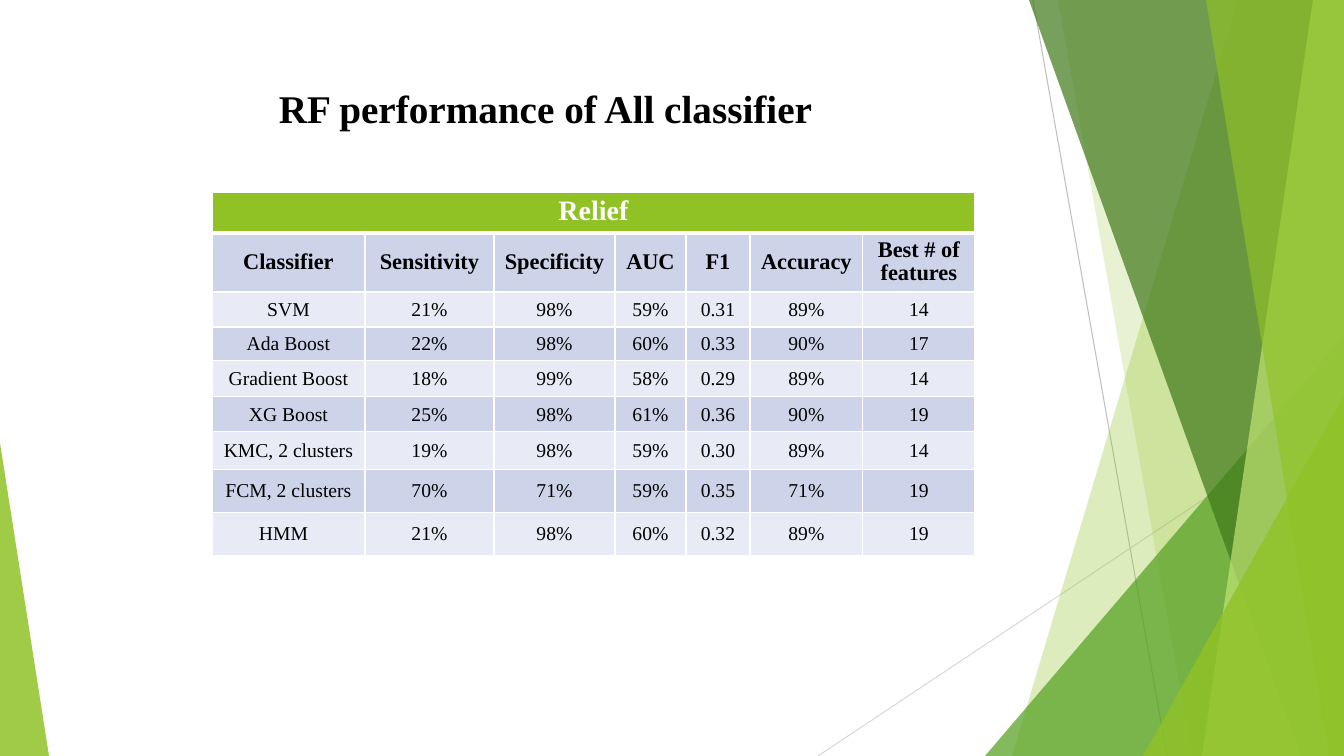
from lxml.etree import SubElement
from pptx import Presentation
from pptx.dml.color import RGBColor
from pptx.enum.shapes import MSO_CONNECTOR, MSO_SHAPE
from pptx.enum.text import MSO_ANCHOR, MSO_AUTO_SIZE, PP_ALIGN
from pptx.oxml import parse_xml
from pptx.oxml.ns import nsdecls, qn
from pptx.util import Emu, Pt

WIDTH, HEIGHT = 1344, 756
EMU_PER_PX = 914400 / 100.8
GREEN, WHITE, BLACK = "90C226", "FFFFFF", "000000"
BANDS = ("E8EBF5", "CDD4EA")

RAYS = [
    (1238, 1012, GREEN, 30),
    (1058, 1192, GREEN, 20),
    (1029, 1301, "3F7819", 70),
    (1313, 1202, "C0E474", 70),
    (1206, 1329, GREEN, 65),
]
COLUMN_WIDTHS = [153, 129, 121, 71, 64, 113, 112]
ROW_HEIGHTS = [41, 59, 35, 34, 36, 35, 38, 43, 43]
HEADINGS = ["Classifier", "Sensitivity", "Specificity", "AUC", "F1", "Accuracy", "Best # of features"]
SCORES = [
    ["SVM", "21%", "98%", "59%", "0.31", "89%", "14"],
    ["Ada Boost", "22%", "98%", "60%", "0.33", "90%", "17"],
    ["Gradient Boost", "18%", "99%", "58%", "0.29", "89%", "14"],
    ["XG Boost", "25%", "98%", "61%", "0.36", "90%", "19"],
    ["KMC, 2 clusters", "19%", "98%", "59%", "0.30", "89%", "14"],
    ["FCM, 2 clusters", "70%", "71%", "59%", "0.35", "71%", "19"],
    ["HMM", "21%", "98%", "60%", "0.32", "89%", "19"],
]


def px(length):
    return Emu(round(length * EMU_PER_PX))


def rgb(value):
    return RGBColor.from_string(value)


class FacetSlide:
    """Draws the elements of one slide in the green facet style."""

    font_name = "Times New Roman"

    def __init__(self, slide):
        self.slide = slide
        self.shapes = slide.shapes

    def label(self, frame, text, size, color=BLACK, bold=False):
        frame.text = text
        paragraph = frame.paragraphs[0]
        paragraph.alignment = PP_ALIGN.CENTER
        font = paragraph.font
        font.name, font.size, font.bold = self.font_name, Pt(size), bold
        font.color.rgb = rgb(color)
        return paragraph

    def title(self, text, left, top, width, height):
        heading = self.shapes.title
        heading.left, heading.top = px(left), px(top)
        heading.width, heading.height = px(width), px(height)
        frame = heading.text_frame
        frame.word_wrap = True
        frame.auto_size = MSO_AUTO_SIZE.NONE
        frame.vertical_anchor = MSO_ANCHOR.TOP
        self.label(frame, text, 28, bold=True)

    def line(self, start, end, color):
        ray = self.shapes.add_connector(MSO_CONNECTOR.STRAIGHT, *map(px, start + end))
        ray.line.color.rgb = rgb(color)
        ray.line.width = Pt(0.75)
        SubElement(ray._element.spPr, qn("a:effectLst"))

    def paint(self, shape, color, opacity):
        shape.shadow.inherit = False
        shape.line.fill.background()
        shape.fill.solid()
        shape.fill.fore_color.rgb = rgb(color)
        tint = shape._element.spPr.find(qn("a:solidFill"))[0]
        SubElement(tint, qn("a:alpha"), val=str(opacity * 1000))

    def ray(self, top_x, bottom_x, color, opacity):
        outline = self.shapes.build_freeform(top_x, 0, scale=EMU_PER_PX)
        outline.add_line_segments([(WIDTH, 0), (WIDTH, HEIGHT), (bottom_x, HEIGHT)])
        self.paint(outline.convert_to_shape(), color, opacity)

    def corner(self, left, top, width, apex, color, opacity):
        triangle = self.shapes.add_shape(
            MSO_SHAPE.ISOSCELES_TRIANGLE, px(left), px(top), px(width), px(HEIGHT - top))
        triangle.adjustments[0] = apex
        self.paint(triangle, color, opacity)

    def cell(self, cell, text, size, fill, color=BLACK, bold=False, margins=(10, 5), bottom_line=1):
        cell.vertical_anchor = MSO_ANCHOR.MIDDLE
        cell.margin_left = cell.margin_right = px(margins[0])
        cell.margin_top = cell.margin_bottom = px(margins[1])
        cell.fill.solid()
        cell.fill.fore_color.rgb = rgb(fill)
        properties = cell._tc.get_or_add_tcPr()
        for index, side in enumerate("LRTB"):
            weight = Pt(bottom_line if side == "B" else 1)
            properties.insert(index, parse_xml(
                f'<a:ln{side} {nsdecls("a")} w="{weight}"><a:solidFill>'
                f'<a:srgbClr val="{WHITE}"/></a:solidFill></a:ln{side}>'))
        return self.label(cell.text_frame, text, size, color, bold)

    def table(self, left, top, banner, headings, scores):
        frame = self.shapes.add_table(
            len(ROW_HEIGHTS), len(COLUMN_WIDTHS), px(left), px(top),
            px(sum(COLUMN_WIDTHS)), px(sum(ROW_HEIGHTS)))
        table = frame.table
        table.first_row = table.horz_banding = False
        for column, width in zip(table.columns, COLUMN_WIDTHS):
            column.width = px(width)
        for row, height in zip(table.rows, ROW_HEIGHTS):
            row.height = px(height)

        table.cell(0, 0).merge(table.cell(0, len(headings) - 1))
        for column, heading in enumerate(headings):
            text = banner if column == 0 else ""
            top_label = self.cell(table.cell(0, column), text, 20, GREEN, WHITE, True, bottom_line=3)
            heading_label = self.cell(table.cell(1, column), heading, 16, BANDS[1], bold=True)
            top_label.line_spacing = heading_label.line_spacing = 0.9
        for row, values in enumerate(scores):
            for column, value in enumerate(values):
                margins = (10, 5) if column == 0 else (1, 1)
                self.cell(table.cell(row + 2, column), value, 14, BANDS[row % 2], margins=margins)
        table.cell(len(ROW_HEIGHTS) - 1, 0).margin_right = px(20)


def main():
    deck = Presentation()
    deck.slide_width, deck.slide_height = px(WIDTH), px(HEIGHT)
    page = FacetSlide(deck.slides.add_slide(deck.slide_layouts[5]))

    page.line((1033, 0), (1167, HEIGHT), "BFBFBF")
    page.line((WIDTH, 406), (818, HEIGHT), "D9D9D9")
    for ray in RAYS[:2]:
        page.ray(*ray)
    page.corner(985, 336, 359, 1, "54A021", 72)
    for ray in RAYS[2:]:
        page.ray(*ray)
    page.corner(1143, 396, 201, 1, GREEN, 80)
    page.corner(0, 443, 49, 0, GREEN, 85)

    page.table(212, 192, "Relief", HEADINGS, SCORES)
    page.title("RF performance of All classifier", 167, 79, 757, 57)
    deck.save("out.pptx")


if __name__ == "__main__":
    main()
